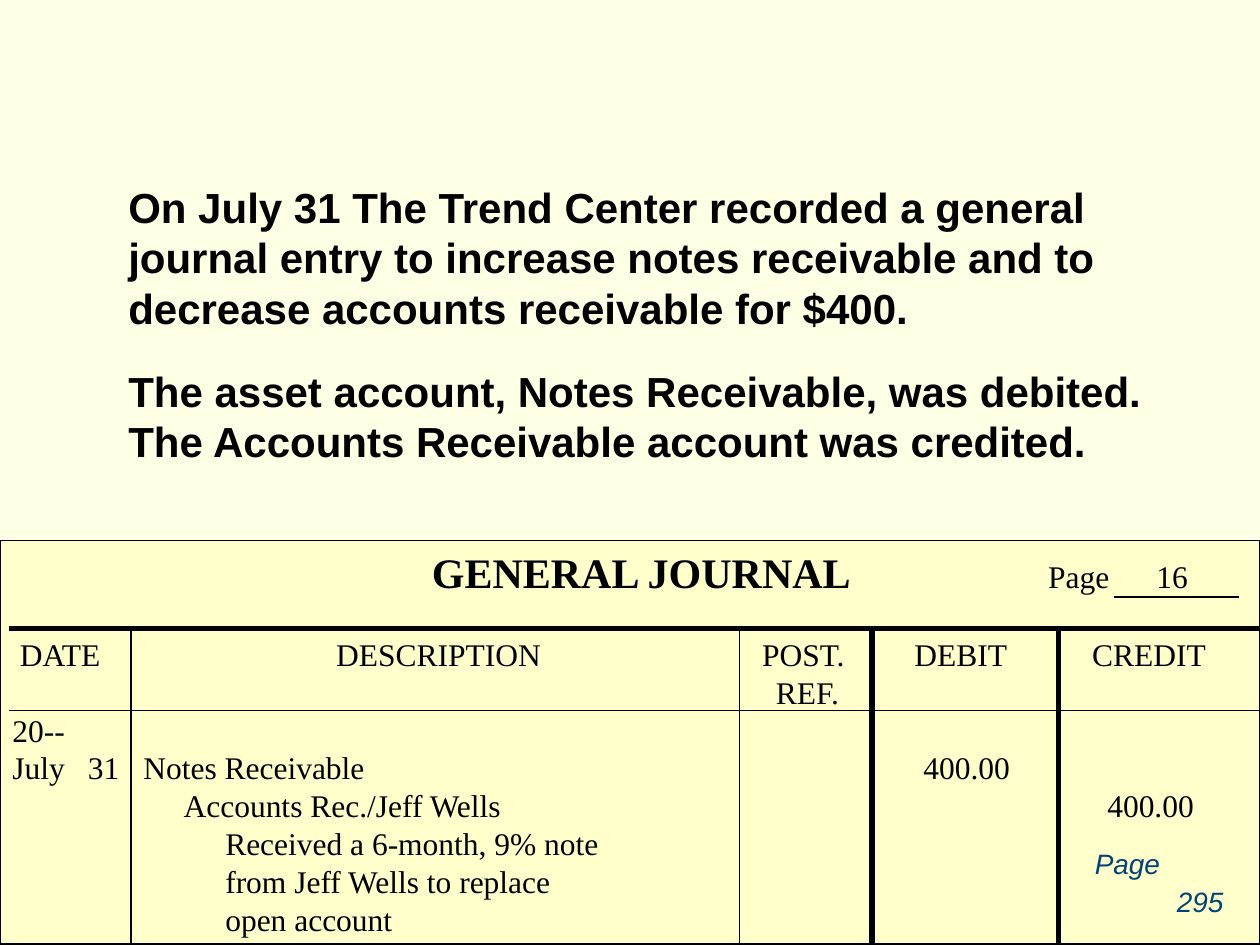
from pptx import Presentation, util as u
from pptx.dml.color import RGBColor
from pptx.enum import shapes, text
from pptx.oxml import ns
from lxml import etree

PAPER = RGBColor(0xFF, 0xFF, 0xE5)
LEDGER = RGBColor(0xFF, 0xFF, 0xCC)
INK = RGBColor(0, 0, 0)
BLUE = RGBColor(0x00, 0x44, 0x77)
WIDE, HIGH = 10, 7.5
TOP, HEAD, BODY, END = 4.29, 4.99, 5.64, 7.49
SERIF, SANS = "Times New Roman", "Arial"

RULES = [
    (8.84, 4.74, 9.83, 4.74, 1),
    (0.07, HEAD, WIDE, HEAD, 3),
    (0.07, BODY, WIDE, BODY, 1),
] + [(x, HEAD, x, END, wt) for x, wt in ((1.04, 1), (5.87, 1), (6.92, 3), (8.4, 3))]

ROWS = [
    [(0.06, "DATE"), (2.57, "DESCRIPTION"), (5.95, "POST."), (7.16, "DEBIT"), (8.57, "CREDIT")],
    [(6.06, "REF.")],
    [(0, "20--")],
    [(0, "July"), (0.6, "31"), (1.04, "Notes Receivable"), (7.23, "400.00")],
    [(1.36, "Accounts Rec./Jeff Wells"), (8.69, "400.00")],
    [(1.69, "Received a 6-month, 9% note")],
    [(1.69, "from Jeff Wells to replace")],
    [(1.69, "open account")],
]
NOTES = [
    (1.39, 1.3, "On July 31 The Trend Center recorded a general journal entry to increase "
                "notes receivable and to decrease accounts receivable for $400."),
    (2.85, 0.9, "The asset account, Notes Receivable, was debited. "
                "The Accounts Receivable account was credited."),
]


def add_run(para, words, size, face, color=INK, bold=False, slant=False):
    """Add one styled run to a paragraph."""
    run = para.add_run()
    run.text = words
    font = run.font
    font.size, font.name, font.bold, font.italic = u.Pt(size), face, bold, slant
    font.color.rgb = color


def set_tabs(para, stops):
    """Give a paragraph left tab stops, in inches."""
    tabs = etree.SubElement(para._p.get_or_add_pPr(), ns.qn("a:tabLst"))
    for stop in stops:
        etree.SubElement(tabs, ns.qn("a:tab"), pos=str(u.Inches(stop)), algn="l")


def add_row(para, cells, size=18):
    """Write ledger cells at their tab stops."""
    para.alignment = text.PP_ALIGN.LEFT
    set_tabs(para, [x for x, _ in cells if x])
    for x, words in cells:
        lead = "\t" if x else ""
        bold = size > 18
        add_run(para, lead + words, size, SERIF, bold=bold)
        size = 18


def add_ledger(slide):
    """Draw the journal sheet with its title and entries."""
    box = slide.shapes.add_shape(shapes.MSO_SHAPE.RECTANGLE, 0, u.Inches(TOP),
                                 u.Inches(WIDE), u.Inches(END - TOP))
    box.shadow.inherit = False
    box.fill.solid()
    box.fill.fore_color.rgb = LEDGER
    box.line.color.rgb, box.line.width = INK, u.Pt(1)
    frame = box.text_frame
    frame.word_wrap = True
    frame.auto_size = text.MSO_AUTO_SIZE.SHAPE_TO_FIT_TEXT
    frame.vertical_anchor = text.MSO_ANCHOR.TOP
    add_row(frame.paragraphs[0],
            [(3.33, "GENERAL JOURNAL"), (8.22, "Page"), (9.08, "16")], 24)
    for i, cells in enumerate(ROWS):
        para = frame.add_paragraph()
        if i == 0:
            para.space_before = u.Pt(21.6)
        add_row(para, cells)


def add_rule(slide, x1, y1, x2, y2, wt):
    """Draw one straight ledger rule."""
    rule = slide.shapes.add_connector(shapes.MSO_CONNECTOR.STRAIGHT,
                                      *map(u.Inches, (x1, y1, x2, y2)))
    rule.line.color.rgb, rule.line.width = INK, u.Pt(wt)
    etree.SubElement(rule._element.spPr, ns.qn("a:effectLst"))


def add_note(slide, box, words, size, wrap=True, align=text.PP_ALIGN.LEFT, gap=0, **style):
    """Add a text box holding one paragraph."""
    frame = slide.shapes.add_textbox(*map(u.Inches, box)).text_frame
    frame.word_wrap = wrap
    frame.auto_size = text.MSO_AUTO_SIZE.SHAPE_TO_FIT_TEXT
    para = frame.paragraphs[0]
    para.alignment, para.space_before = align, u.Pt(gap)
    add_run(para, words, size, SANS, **style)


def main():
    """Build and save the slide."""
    deck = Presentation()
    deck.slide_width, deck.slide_height = u.Inches(WIDE), u.Inches(HIGH)
    slide = deck.slides.add_slide(deck.slide_layouts[6])
    slide.background.fill.solid()
    slide.background.fill.fore_color.rgb = PAPER
    add_ledger(slide)
    for rule in RULES:
        add_rule(slide, *rule)
    for top, tall, words in NOTES:
        add_note(slide, (0.92, top, 8.58, tall), words, 24, gap=15, bold=True)
    add_note(slide, (8.59, 6.67, 0.72, 0.37), "Page", 16, wrap=False, color=BLUE, slant=True)
    add_note(slide, (9.24, 6.97, 0.57, 0.37), "295", 16, wrap=False,
             align=text.PP_ALIGN.CENTER, color=BLUE, slant=True)
    deck.save("out.pptx")


if __name__ == "__main__":
    main()
